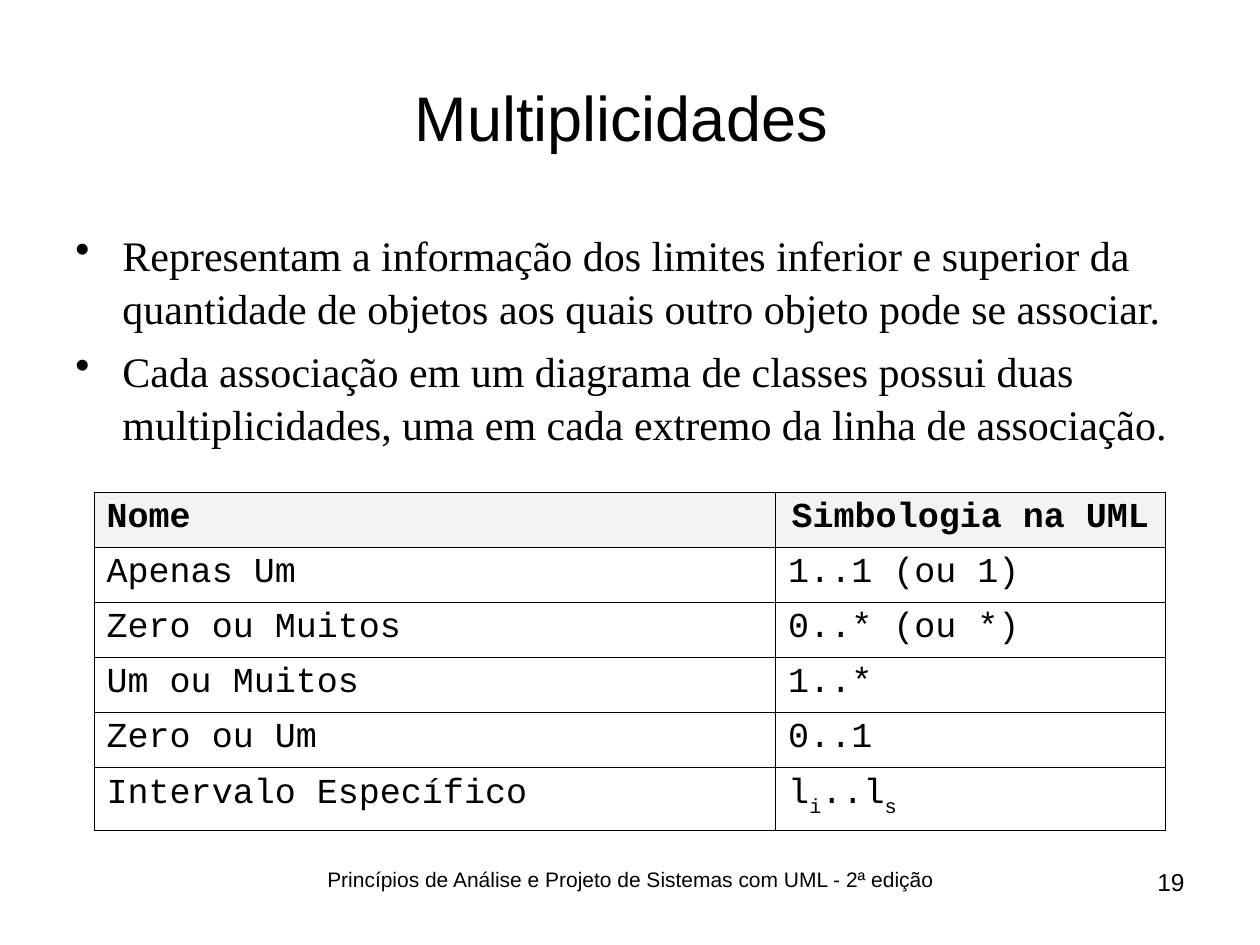
import pptx
import pptx.dml.color
import pptx.enum.text
import pptx.oxml
import pptx.oxml.ns
import pptx.util

Cm = pptx.util.Cm
Pt = pptx.util.Pt
ALIGN = pptx.enum.text.PP_ALIGN
ANCHOR = pptx.enum.text.MSO_ANCHOR
COLORS = {"text": "000000", "header": "F3F3F3", "border": "000000"}
NAMESPACE = pptx.oxml.ns.nsdecls("a")


def add_run(paragraph, text, font, size, bold=False):
    run = paragraph.add_run()
    run.text = text
    run.font.name = font
    run.font.size = Pt(size)
    run.font.bold = bold
    run.font.color.rgb = pptx.dml.color.RGBColor.from_string(COLORS["text"])
    return run


def add_text_frame(left, top, width, height, anchor=ANCHOR.TOP):
    """Add a wrapping text box and return its text frame."""
    box = slide.shapes.add_textbox(Cm(left), Cm(top), Cm(width), Cm(height))
    box.text_frame.word_wrap = True
    box.text_frame.vertical_anchor = anchor
    return box.text_frame


presentation = pptx.Presentation()
presentation.slide_width = Cm(25.4)
presentation.slide_height = Cm(19.05)
slide = presentation.slides.add_slide(presentation.slide_layouts[6])

# Footer, slide number and title
single_lines = [
    ("Princípios de Análise e Projeto de Sistemas com UML - 2ª edição",
     (4.88, 17.35, 15.67, 1.32), ANCHOR.TOP, ALIGN.CENTER, 12),
    ("19", (20.75, 17.35, 3.38, 1.32), ANCHOR.TOP, ALIGN.RIGHT, 14),
    ("Multiplicidades ", (1.27, 0.76, 22.86, 3.18), ANCHOR.MIDDLE, ALIGN.CENTER, 36),
]
for text, place, anchor, alignment, size in single_lines:
    paragraph = add_text_frame(*place, anchor).paragraphs[0]
    paragraph.alignment = alignment
    add_run(paragraph, text, "Arial", size)

# Bulleted text
bullets = [
    "Representam a informação dos limites inferior e superior da quantidade "
    "de objetos aos quais outro objeto pode se associar.",
    "Cada associação em um diagrama de classes possui duas multiplicidades, "
    "uma em cada extremo da linha de associação.",
]
body = add_text_frame(1.27, 4.45, 22.86, 12.57)
for index, text in enumerate(bullets):
    paragraph = body.add_paragraph() if index else body.paragraphs[0]
    properties = paragraph._p.get_or_add_pPr()
    properties.set("marL", str(Cm(0.95)))
    properties.set("indent", str(-Cm(0.95)))
    properties.append(pptx.oxml.parse_xml(f'<a:buChar {NAMESPACE} char="•"/>'))
    paragraph.line_spacing = 1.05
    if index:
        paragraph.space_before = Pt(6)
    add_run(paragraph, text, "Times New Roman", 24)

# Table: each symbol is a list of (text, is subscript) pieces
rows = [
    ("Nome", [("Simbologia na UML", False)]),
    ("Apenas Um", [("1..1 (ou 1)", False)]),
    ("Zero ou Muitos", [("0..* (ou *)", False)]),
    ("Um ou Muitos", [("1..*", False)]),
    ("Zero ou Um", [("0..1", False)]),
    ("Intervalo Específico", [("l", False), ("i", True), ("..l", False), ("s", True)]),
]
column_widths = [13.74, 7.85]
row_heights = [1.11] * 5 + [1.25]
table = slide.shapes.add_table(
    len(rows), 2, Cm(1.9), Cm(9.92), Cm(sum(column_widths)), Cm(sum(row_heights))
).table
for column, width in zip(table.columns, column_widths):
    column.width = Cm(width)
for row, height in zip(table.rows, row_heights):
    row.height = Cm(height)

for row_index, (name, symbol) in enumerate(rows):
    is_header = row_index == 0
    for column_index, pieces in enumerate([[(name, False)], symbol]):
        cell = table.cell(row_index, column_index)
        cell.margin_left = cell.margin_right = Cm(0.25)
        cell.margin_top = cell.margin_bottom = Cm(0.13)
        paragraph = cell.text_frame.paragraphs[0]
        if column_index == 0:
            paragraph.alignment = ALIGN.JUSTIFY
        else:
            paragraph.alignment = ALIGN.CENTER if is_header else ALIGN.LEFT
        for text, is_subscript in pieces:
            run = add_run(paragraph, text, "Courier New", 20, is_header)
            if is_subscript:
                run._r.get_or_add_rPr().set("baseline", "-30000")
        cell_properties = cell._tc.get_or_add_tcPr()
        for side in ("lnL", "lnR", "lnT", "lnB"):
            cell_properties.append(pptx.oxml.parse_xml(
                f'<a:{side} {NAMESPACE} w="{Pt(0.45)}"><a:solidFill>'
                f'<a:srgbClr val="{COLORS["border"]}"/></a:solidFill></a:{side}>'))
        if is_header:
            cell.fill.solid()
            cell.fill.fore_color.rgb = pptx.dml.color.RGBColor.from_string(COLORS["header"])
        else:
            cell.fill.background()

presentation.save("out.pptx")
